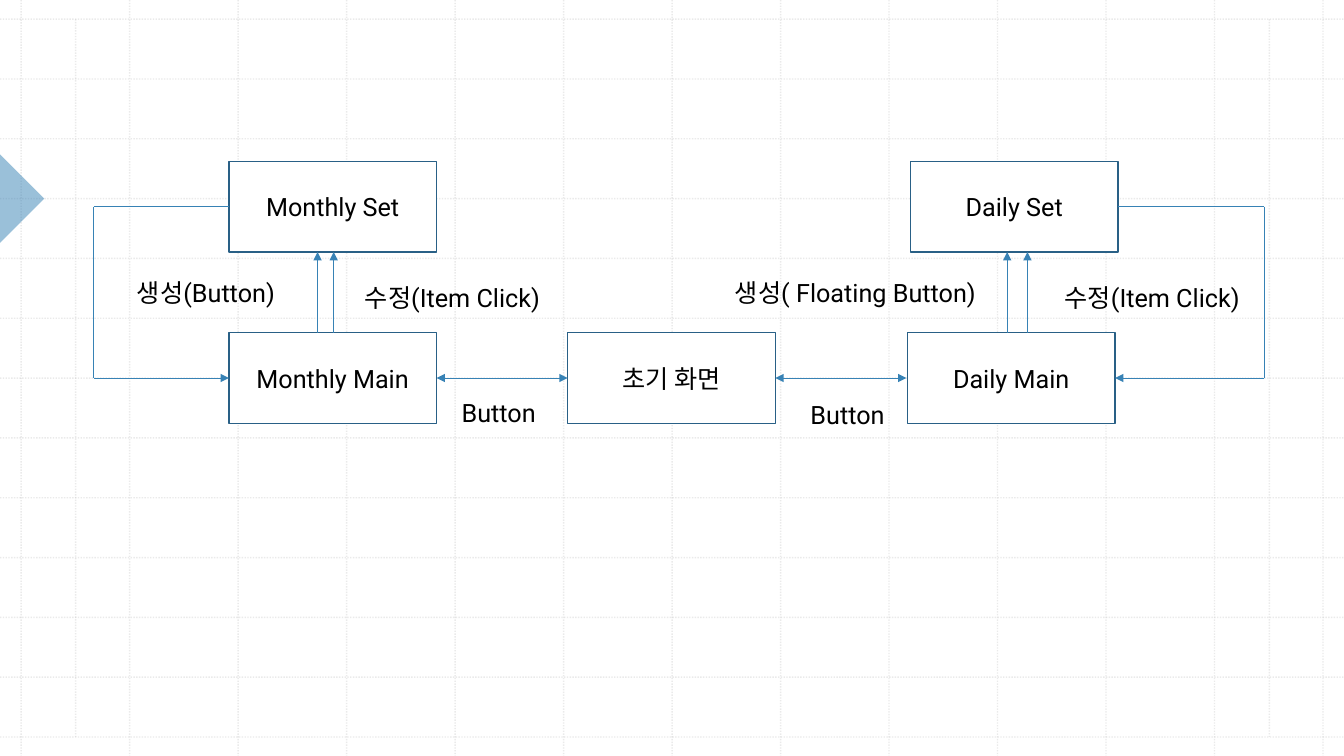
from lxml.etree import SubElement
from pptx import Presentation
from pptx.dml.color import RGBColor
from pptx.enum.dml import MSO_LINE_DASH_STYLE as DASH
from pptx.enum.shapes import MSO_CONNECTOR, MSO_SHAPE
from pptx.enum.text import MSO_ANCHOR, PP_ALIGN
from pptx.oxml.ns import qn
from pptx.util import Inches, Pt

WHITE = RGBColor(0xFF, 0xFF, 0xFF)
BLACK = RGBColor(0, 0, 0)
GRID_GRAY = RGBColor(0xBC, 0xBC, 0xBC)
BLUE = RGBColor(0x37, 0x82, 0xB5)
DARK_BLUE = RGBColor(0x29, 0x60, 0x86)
FONT = "Roboto"
SLIDE_WIDTH, SLIDE_HEIGHT = 13.33, 7.5
BOX_WIDTH, BOX_HEIGHT = 2.06, 0.9
FLOW_TOP, MAIN_OFFSET = 1.6, 1.7
MAIN_TOP = FLOW_TOP + MAIN_OFFSET


def set_alpha(fill, percent):
    """Make a solid fill partly transparent."""
    color = fill._xPr.find(qn("a:solidFill"))[0]
    SubElement(color, qn("a:alpha")).set("val", str(percent * 1000))


def add_line(slide, start, end, color=BLUE, width=0.5, arrows=()):
    """Draw a straight line with triangles at the named ends."""
    points = [Inches(value) for value in (*start, *end)]
    connector = slide.shapes.add_connector(MSO_CONNECTOR.STRAIGHT, *points)
    connector.line.color.rgb = color
    connector.line.width = Pt(width)
    line = connector.line._get_or_add_ln()
    for arrow in arrows:
        SubElement(line, qn(f"a:{arrow}")).set("type", "triangle")
    SubElement(connector._element.spPr, qn("a:effectLst"))
    return connector


def write(frame, text, align):
    """Put one formatted run into a text frame."""
    frame.word_wrap = True
    paragraph = frame.paragraphs[0]
    paragraph.alignment = align
    run = paragraph.add_run()
    run.text = text
    run.font.name = FONT
    run.font.size = Pt(18)
    run.font.color.rgb = BLACK


def add_screen(slide, left, top, text):
    """Draw one screen of the app as an outlined box."""
    shape = slide.shapes.add_shape(
        MSO_SHAPE.RECTANGLE, Inches(left), Inches(top), Inches(BOX_WIDTH), Inches(BOX_HEIGHT))
    shape.shadow.inherit = False
    shape.fill.solid()
    shape.fill.fore_color.rgb = WHITE
    shape.line.color.rgb = DARK_BLUE
    shape.line.width = Pt(1)
    shape.text_frame.vertical_anchor = MSO_ANCHOR.MIDDLE
    write(shape.text_frame, text, PP_ALIGN.CENTER)


def add_label(slide, left, top, width, text):
    """Write the action that belongs to an arrow."""
    box = slide.shapes.add_textbox(Inches(left), Inches(top), Inches(width), Inches(0.4))
    write(box.text_frame, text, PP_ALIGN.LEFT)


def add_background(slide, width, height):
    """Draw the dotted grid and the marker at the left edge."""
    columns = [(0.21 + 1.076 * i, 0, height) for i in range(13)]
    margins = [(x, 0.19, 7.31) for x in (0.75, 12.59)]
    lines = [((x, top), (x, bottom)) for x, top, bottom in columns + margins]
    rows = [0.19 + 0.5935 * i for i in range(13)]
    lines += [((0, y), (width, y)) for y in rows]
    for start, end in lines:
        connector = add_line(slide, start, end, GRID_GRAY, 1)
        connector.line.dash_style = DASH.ROUND_DOT
        set_alpha(connector.line.fill, 30)

    side = 0.62
    marker = slide.shapes.add_shape(
        MSO_SHAPE.RIGHT_TRIANGLE, Inches(-side / 2), Inches(1.66), Inches(side), Inches(side))
    marker.rotation = 225
    marker.shadow.inherit = False
    marker.fill.solid()
    marker.fill.fore_color.rgb = BLUE
    set_alpha(marker.fill, 50)
    marker.line.fill.background()


def add_flow(slide, left, top, name, set_shift, arrows, loop, labels):
    """Draw a main screen, its set screen, the arrows up and the loop back."""
    main_top = top + MAIN_OFFSET
    add_screen(slide, left, main_top, f"{name} Main")
    add_screen(slide, left + set_shift, top, f"{name} Set")
    for shift in arrows:
        x = left + shift
        add_line(slide, (x, main_top), (x, top + BOX_HEIGHT), arrows=["tailEnd"])
    for shift, drop, width, text in labels:
        add_label(slide, left + shift, top + drop, width, text)

    edge = BOX_WIDTH if loop > 0 else 0
    set_middle, main_middle = top + BOX_HEIGHT / 2, main_top + BOX_HEIGHT / 2
    corner = left + loop
    add_line(slide, (left + set_shift + edge, set_middle), (corner, set_middle))
    add_line(slide, (corner, set_middle), (corner, main_middle))
    add_line(slide, (corner, main_middle), (left + edge, main_middle), arrows=["tailEnd"])


def add_start(slide, left, top):
    """Draw the first screen with its two-way arrows to both sides."""
    add_screen(slide, left, top, "초기 화면")
    middle = top + BOX_HEIGHT / 2
    gap = 1.3
    for x in (left - gap, left + BOX_WIDTH):
        add_line(slide, (x, middle), (x + gap, middle), arrows=["headEnd", "tailEnd"])
    add_label(slide, left - 1.15, top + 0.59, 1.02, "Button")
    add_label(slide, left + 2.31, top + 0.61, 1.02, "Button")


def main():
    """Build the screen flow slide."""
    presentation = Presentation()
    presentation.slide_width = Inches(SLIDE_WIDTH)
    presentation.slide_height = Inches(SLIDE_HEIGHT)
    slide = presentation.slides.add_slide(presentation.slide_layouts[6])
    add_background(slide, SLIDE_WIDTH, SLIDE_HEIGHT)
    add_start(slide, 5.63, MAIN_TOP)
    add_flow(slide, 2.27, FLOW_TOP, "Monthly", 0, (0.88, 1.04), -1.34,
             [(-1.01, 1.1, 1.59, "생성(Button)"), (1.25, 1.15, 2.05, "수정(Item Click)")])
    add_flow(slide, 9, FLOW_TOP, "Daily", 0.03, (0.99, 1.19), 3.54,
             [(-1.81, 1.1, 2.68, "생성( Floating Button)"), (1.46, 1.15, 2.05, "수정(Item Click)")])
    presentation.save("out.pptx")


if __name__ == "__main__":
    main()
